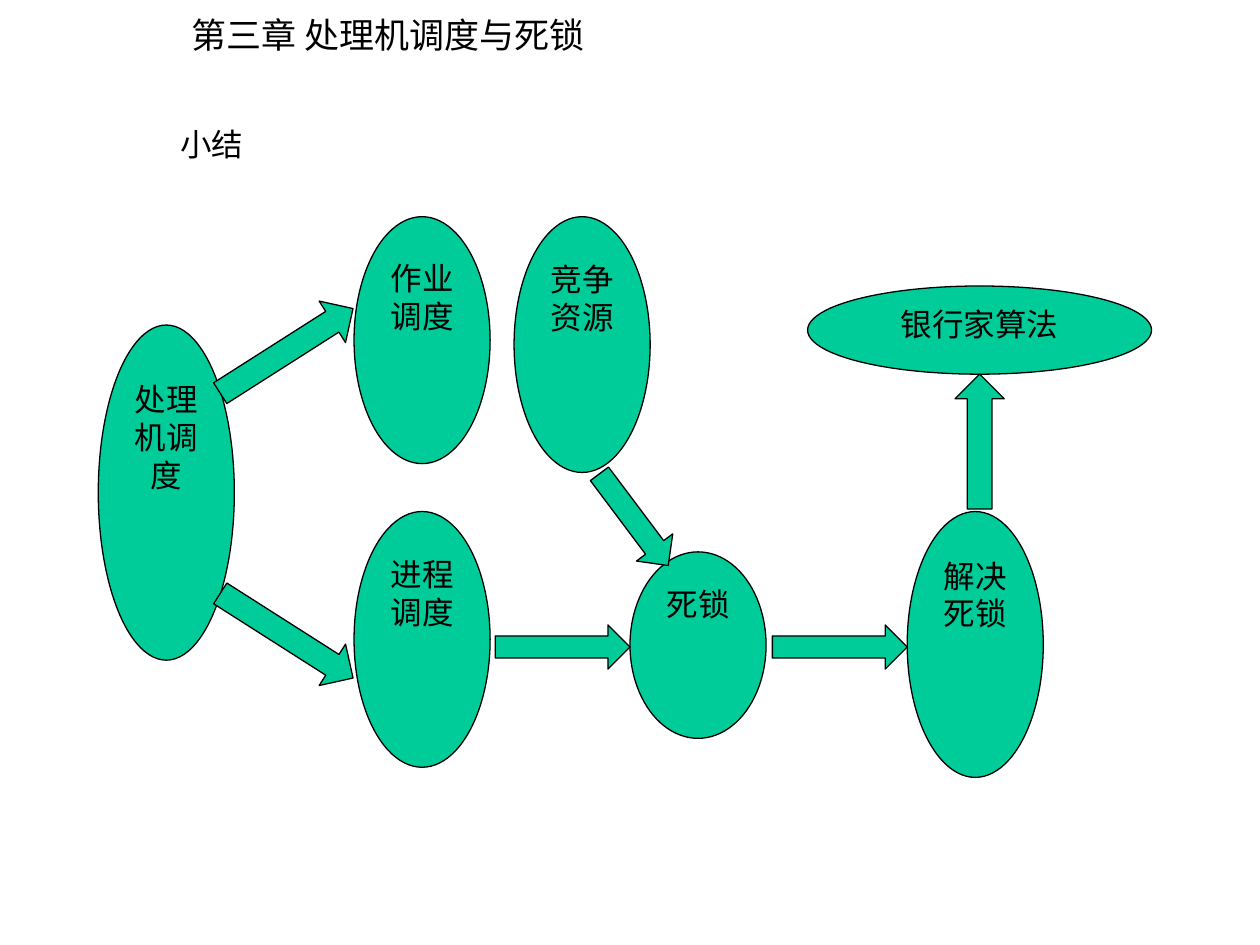
from math import ceil, sqrt

from lxml.etree import SubElement
from pptx import Presentation
from pptx.dml.color import RGBColor
from pptx.enum.shapes import MSO_SHAPE as Shape
from pptx.enum.text import MSO_AUTO_SIZE as AutoSize, PP_ALIGN as Align
from pptx.oxml.ns import qn
from pptx.util import Inches, Pt

GREEN = "00CC99"
BLACK = "000000"
BODY_FONT = "Noto Sans CJK SC"
TITLE_FONT = "Noto Sans CJK JP"
PADDING = 0.05
LINE_HEIGHT = 0.345
CHARACTER_WIDTH = 0.25
ELLIPSE_INSET = (1 - 1 / sqrt(2)) / 2

NODES = [
    ("处理机调度", (0.78, 2.58, 1.08, 2.66)),
    ("进程调度", (2.81, 4.06, 1.08, 2.03)),
    ("作业调度", (2.81, 1.72, 1.08, 1.96)),
    ("死锁", (5, 4.38, 1.08, 1.48)),
    ("竞争资源", (4.08, 1.72, 1.08, 2.03)),
    ("解决死锁", (7.2, 4.06, 1.08, 2.11)),
    ("银行家算法", (6.41, 2.27, 2.73, 0.7)),
]
ARROWS = [
    ((2.08, 2.16, 0.39, 1.25), 57.5),
    ((2.08, 4.42, 0.39, 1.25), 122.5),
    ((4.29, 4.6, 0.35, 1.07), 90),
    ((4.85, 3.67, 0.36, 0.91), 143.1),
    ((6.49, 4.6, 0.35, 1.07), 90),
    ((7.58, 2.97, 0.39, 1.07), 0),
]


def color(value):
    return RGBColor.from_string(value)


def add_text(shapes, text, box, size=18, font=BODY_FONT, wrap=False, align=Align.LEFT):
    frame = shapes.add_textbox(*map(Inches, box)).text_frame
    frame.text = text
    frame.word_wrap = wrap
    frame.auto_size = AutoSize.SHAPE_TO_FIT_TEXT
    frame.margin_left = frame.margin_right = Inches(PADDING)
    frame.margin_top = frame.margin_bottom = Inches(PADDING)
    para = frame.paragraphs[0]
    para.alignment = align
    span = para.runs[0]
    span.font.size = Pt(size)
    span.font.color.rgb = color(BLACK)
    span.font.name = font
    SubElement(span.font._element, qn("a:ea"), typeface=font)


def add_outlined(shapes, kind, box):
    shape = shapes.add_shape(kind, *map(Inches, box))
    shape.shadow.inherit = False
    shape.fill.solid()
    shape.fill.fore_color.rgb = color(GREEN)
    shape.line.color.rgb = color(BLACK)
    shape.line.width = Pt(0.75)
    return shape


def add_node(page, text, box):
    left, top, width, height = box
    group = page.shapes.add_group_shape()
    add_outlined(group.shapes, Shape.OVAL, box)
    label_width = width * (1 - 2 * ELLIPSE_INSET) - 2 * PADDING
    lines = ceil(len(text) * CHARACTER_WIDTH / (label_width - 2 * PADDING))
    label = (
        left + width * ELLIPSE_INSET + PADDING,
        top + height * ELLIPSE_INSET,
        label_width,
        lines * LINE_HEIGHT + 2 * PADDING,
    )
    add_text(group.shapes, text, label, wrap=True, align=Align.CENTER)


def add_arrow(page, box, angle):
    arrow = add_outlined(page.shapes, Shape.UP_ARROW, box)
    arrow.rotation = angle


def add_headings(page):
    add_text(page.shapes, "第三章 处理机调度与死锁", (1.47, 0.06, 3.32, 0.49), 20, TITLE_FONT)
    add_text(page.shapes, "小结", (1.38, 0.94, 0.61, 0.45))


def add_diagram(page):
    for text, box in NODES:
        add_node(page, text, box)
    for box, angle in ARROWS:
        add_arrow(page, box, angle)


def main():
    deck = Presentation()
    deck.slide_width, deck.slide_height = Inches(10), Inches(7.5)
    page = deck.slides.add_slide(deck.slide_layouts[6])
    add_headings(page)
    add_diagram(page)
    deck.save("out.pptx")


if __name__ == "__main__":
    main()
